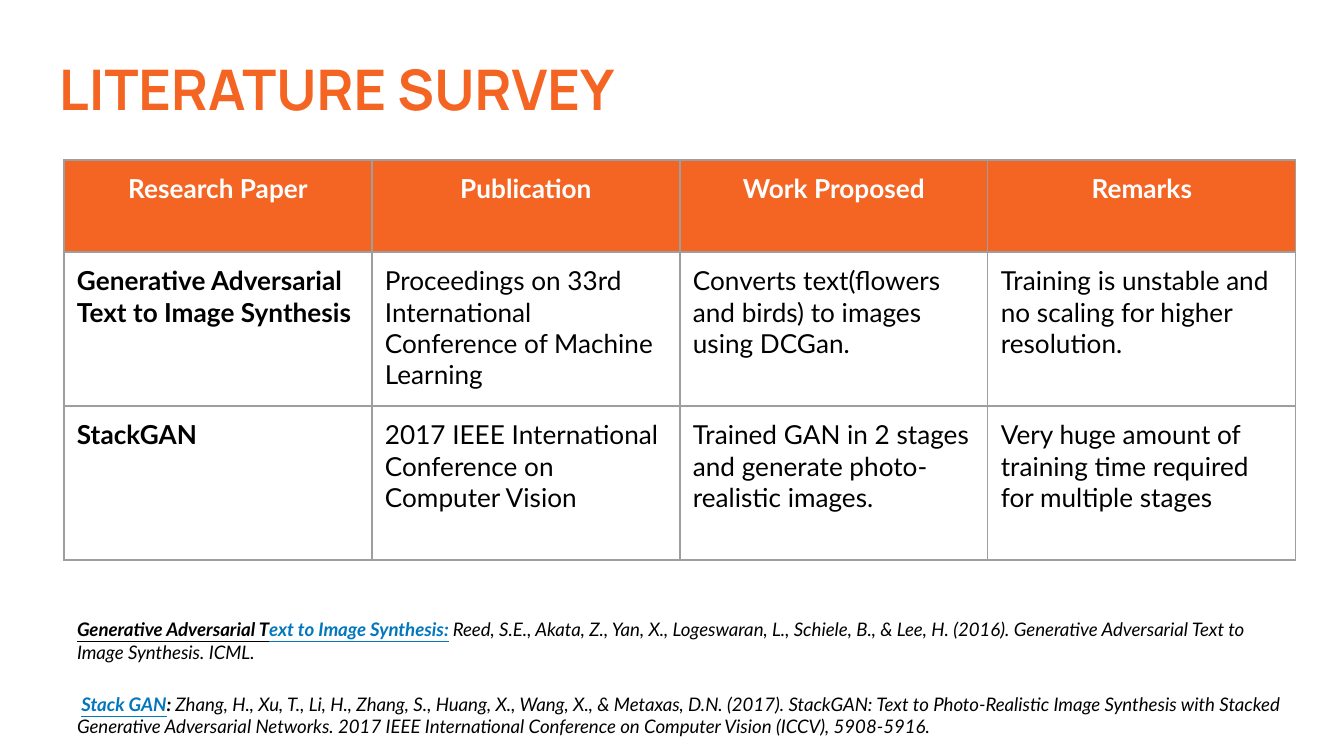
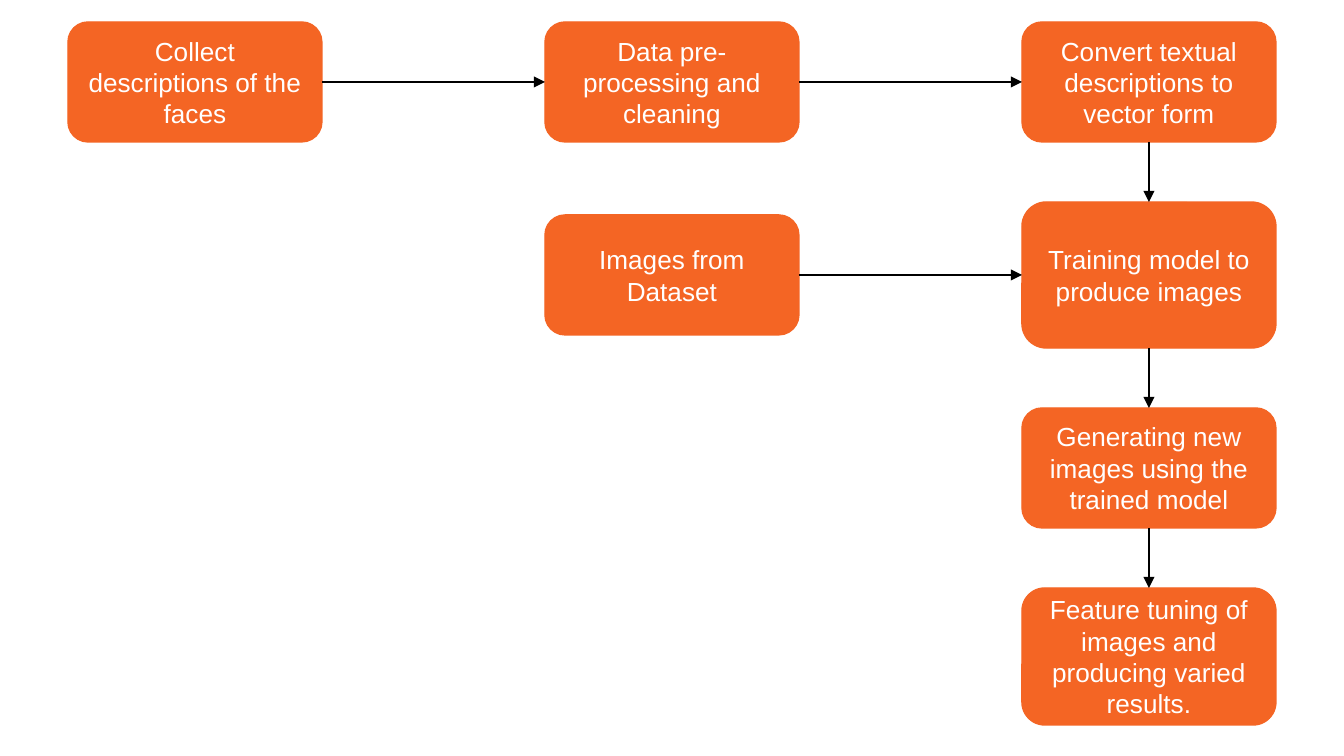
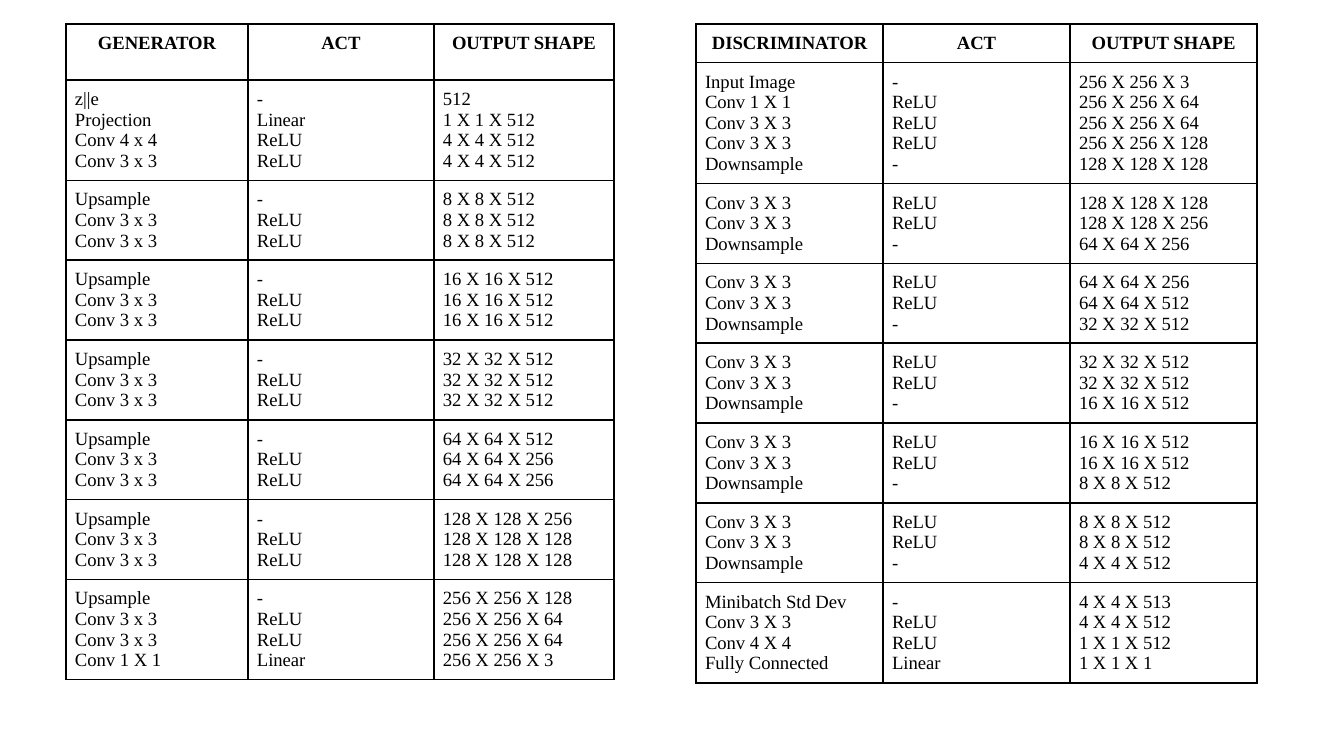
from lxml.etree import SubElement
from pptx import Presentation
from pptx.dml.color import RGBColor
from pptx.enum.shapes import MSO_CONNECTOR as CONNECTOR, MSO_SHAPE as SHAPE
from pptx.enum.text import MSO_ANCHOR as ANCHOR, PP_ALIGN as ALIGN
from pptx.oxml import parse_xml
from pptx.oxml.ns import nsdecls, qn
from pptx.util import Emu, Pt

ORANGE = RGBColor(0xF4, 0x65, 0x24)
BLUE = RGBColor(0x02, 0x77, 0xBD)
GREY = RGBColor(0x9E, 0x9E, 0x9E)
BLACK = RGBColor(0, 0, 0)
WHITE = RGBColor(255, 255, 255)

# Slide 1: literature survey
SURVEY_TITLE = "LITERATURE SURVEY"
SURVEY = [
    ("Research Paper", "Publication", "Work Proposed", "Remarks"),
    ("Generative Adversarial Text to Image Synthesis",
     "Proceedings on 33rd International Conference of Machine Learning",
     "Converts text(flowers and birds) to images using DCGan.",
     "Training is unstable and no scaling for higher resolution."),
    ("StackGAN",
     "2017 IEEE International Conference on Computer Vision",
     "Trained GAN in 2 stages and generate photo-realistic images.",
     "Very huge amount of training time required for multiple stages"),
]
CITED = dict(bold=True, underline=True)
REFERENCES = [
    [("Generative Adversarial T", CITED),
     ("ext to Image Synthesis:", dict(CITED, color=BLUE)),
     (" ", dict(bold=True)),
     ("Reed, S.E., Akata, Z., Yan, X., Logeswaran, L., Schiele, B., & Lee, H. (2016). "
      "Generative Adversarial Text to Image Synthesis. ICML.", {})],
    [(" ", {}),
     ("Stack GAN", dict(CITED, color=BLUE)),
     (": ", dict(bold=True)),
     ("Zhang, H., Xu, T., Li, H., Zhang, S., Huang, X., Wang, X., & Metaxas, D.N. (2017). "
      "StackGAN: Text to Photo-Realistic Image Synthesis with Stacked Generative Adversarial "
      "Networks. 2017 IEEE International Conference on Computer Vision (ICCV), 5908-5916.", {})],
]

# Slide 2: step -> (text, column, row, height)
STEPS = {
    "collect": ("Collect descriptions of the faces", 0, 0, 120),
    "clean": ("Data pre-processing and cleaning", 1, 0, 120),
    "convert": ("Convert textual descriptions to vector form", 2, 0, 120),
    "images": ("Images from Dataset", 1, 1, 120),
    "train": ("Training model to produce images", 2, 1, 146),
    "generate": ("Generating new images using the trained model", 2, 2, 120),
    "tune": ("Feature tuning of images and producing varied results.", 2, 3, 137),
}
FLOW = [("collect", "clean"), ("clean", "convert"), ("convert", "train"),
        ("images", "train"), ("train", "generate"), ("generate", "tune")]

# Slide 3: each block of layers is (layers, activations, output shapes)
UP = ("Upsample", "Conv 3 x 3", "Conv 3 x 3")
UP_ACT = ("-", "ReLU", "ReLU")
DOWN = ("Conv 3 X 3", "Conv 3 X 3", "Downsample")
DOWN_ACT = ("ReLU", "ReLU", "-")
GENERATOR = [
    ("GENERATOR", "ACT", "OUTPUT SHAPE"),
    (("z||e", "Projection", "Conv 4 x 4", "Conv 3 x 3"),
     ("-", "Linear", "ReLU", "ReLU"),
     ("512", "1 X 1 X 512", "4 X 4 X 512", "4 X 4 X 512")),
    (UP, UP_ACT, ("8 X 8 X 512",) * 3),
    (UP, UP_ACT, ("16 X 16 X 512",) * 3),
    (UP, UP_ACT, ("32 X 32 X 512",) * 3),
    (UP, UP_ACT, ("64 X 64 X 512", "64 X 64 X 256", "64 X 64 X 256")),
    (UP, UP_ACT, ("128 X 128 X 256", "128 X 128 X 128", "128 X 128 X 128")),
    (UP + ("Conv 1 X 1",), UP_ACT + ("Linear",),
     ("256 X 256 X 128", "256 X 256 X 64", "256 X 256 X 64", "256 X 256 X 3")),
]
DISCRIMINATOR = [
    ("DISCRIMINATOR", "ACT", "OUTPUT SHAPE"),
    (("Input Image", "Conv 1 X 1", "Conv 3 X 3", "Conv 3 X 3", "Downsample"),
     ("-", "ReLU", "ReLU", "ReLU", "-"),
     ("256 X 256 X 3", "256 X 256 X 64", "256 X 256 X 64", "256 X 256 X 128",
      "128 X 128 X 128")),
    (DOWN, DOWN_ACT, ("128 X 128 X 128", "128 X 128 X 256", "64 X 64 X 256")),
    (DOWN, DOWN_ACT, ("64 X 64 X 256", "64 X 64 X 512", "32 X 32 X 512")),
    (DOWN, DOWN_ACT, ("32 X 32 X 512", "32 X 32 X 512", "16 X 16 X 512")),
    (DOWN, DOWN_ACT, ("16 X 16 X 512", "16 X 16 X 512", "8 X 8 X 512")),
    (DOWN, DOWN_ACT, ("8 X 8 X 512", "8 X 8 X 512", "4 X 4 X 512")),
    (("Minibatch Std Dev", "Conv 3 X 3", "Conv 4 X 4", "Fully Connected"),
     ("-", "ReLU", "ReLU", "Linear"),
     ("4 X 4 X 513", "4 X 4 X 512", "1 X 1 X 512", "1 X 1 X 1")),
]


def px(length):
    return Emu(round(length * 914400 / 134.4))


def write(holder, paragraphs, *, font, size, color=BLACK, bold=False, italic=False,
          align=ALIGN.LEFT, anchor=ANCHOR.TOP, margin=13, gap=0):
    """Fill a text frame or table cell; a paragraph is a string or (text, format) runs."""
    for side in ("left", "right", "top", "bottom"):
        setattr(holder, f"margin_{side}", px(margin))
    holder.vertical_anchor = anchor
    frame = getattr(holder, "text_frame", holder)
    frame.word_wrap = True
    if isinstance(paragraphs, str):
        paragraphs = [paragraphs]
    for i, content in enumerate(paragraphs):
        paragraph = frame.add_paragraph() if i else frame.paragraphs[0]
        paragraph.alignment = align
        if i and gap:
            paragraph.space_before = Pt(gap)
        runs = [(content, {})] if isinstance(content, str) else content
        for text, changes in runs:
            run = paragraph.add_run()
            run.text = text
            style = run.font
            style.name, style.size, style.italic = font, Pt(size), italic
            style.bold = changes.get("bold", bold)
            style.underline = changes.get("underline", False)
            style.color.rgb = changes.get("color", color)


def text_box(slide, box, paragraphs, **style):
    area = slide.shapes.add_textbox(*map(px, box))
    write(area.text_frame, paragraphs, **style)


def outline(cell, color, width):
    properties = cell._tc.get_or_add_tcPr()
    for i, edge in enumerate(("lnL", "lnR", "lnT", "lnB")):
        properties.insert(i, parse_xml(
            f'<a:{edge} {nsdecls("a")} w="{Pt(width)}"><a:solidFill>'
            f'<a:srgbClr val="{color}"/></a:solidFill></a:{edge}>'))


def grid(slide, left, top, widths, heights, rows, *, border, header_fill=None,
         header_color=BLACK, bold_first=False, **style):
    table = slide.shapes.add_table(len(rows), len(widths), px(left), px(top),
                                   px(sum(widths)), px(sum(heights))).table
    table.first_row = table.horz_banding = False
    for column, width in zip(table.columns, widths):
        column.width = px(width)
    for r, (contents, height) in enumerate(zip(rows, heights)):
        table.rows[r].height = px(height)
        for c, content in enumerate(contents):
            cell, header = table.cell(r, c), r == 0
            if header and header_fill:
                cell.fill.solid()
                cell.fill.fore_color.rgb = header_fill
            else:
                cell.fill.background()
            outline(cell, *border)
            write(cell, content, bold=header or (bold_first and c == 0),
                  color=header_color if header else BLACK,
                  align=ALIGN.CENTER if header else ALIGN.LEFT, **style)


def step_box(slide, text, box):
    step = slide.shapes.add_shape(SHAPE.ROUNDED_RECTANGLE, *map(px, box))
    step.shadow.inherit = False
    step.fill.solid()
    step.fill.fore_color.rgb = step.line.color.rgb = ORANGE
    step.line.width = Pt(0.75)
    write(step.text_frame, text, font="Arial", size=14, color=WHITE,
          align=ALIGN.CENTER, anchor=ANCHOR.MIDDLE)
    return step


def arrow(slide, start, end, start_site, end_site):
    link = slide.shapes.add_connector(CONNECTOR.STRAIGHT, 0, 0, 0, 0)
    link.begin_connect(start, start_site)
    link.end_connect(end, end_site)
    link.line.color.rgb = BLACK
    link.line.width = Pt(0.75)
    SubElement(link.line._get_or_add_ln(), qn("a:tailEnd"), type="triangle")
    SubElement(link._element.spPr, qn("a:effectLst"))


def survey_slide(slide):
    text_box(slide, (46, 42, 1252, 94), SURVEY_TITLE,
             font="Manrope", size=30, color=ORANGE, bold=True)
    grid(slide, 64, 160, [308] * 4, [92, 154, 154], SURVEY, border=(GREY, 0.75),
         header_fill=ORANGE, header_color=WHITE, bold_first=True, font="Lato", size=14)
    text_box(slide, (64, 605, 1234, 125), REFERENCES,
             font="Lato", size=10, italic=True, gap=16)


def flow_slide(slide):
    left, top, pitch, width, gap = 68, 22, 477, 254, 60
    # Each row is as tall as its tallest step
    row_heights = [max(h for _, _, row, h in STEPS.values() if row == r) for r in range(4)]
    boxes = {}
    for key, (text, column, row, height) in STEPS.items():
        row_top = top + sum(row_heights[:row]) + row * gap
        y = row_top + (row_heights[row] - height) // 2
        boxes[key] = step_box(slide, text, (left + column * pitch, y, width, height))
    # Connection sites: 0 top, 1 left, 2 bottom, 3 right
    for start, end in FLOW:
        same_row = STEPS[start][2] == STEPS[end][2]
        arrow(slide, boxes[start], boxes[end], *((3, 1) if same_row else (2, 0)))


def network_slide(slide):
    style = dict(border=(BLACK, 1), font="Times New Roman", size=10, margin=9)
    grid(slide, 66, 24, [182, 186, 180], [56, 98] + [77] * 5 + [98], GENERATOR, **style)
    grid(slide, 696, 24, [187] * 3, [38, 106] + [70] * 5 + [87], DISCRIMINATOR, **style)


def main():
    deck = Presentation()
    deck.slide_width, deck.slide_height = px(1344), px(756)
    for build in (survey_slide, flow_slide, network_slide):
        build(deck.slides.add_slide(deck.slide_layouts[6]))
    deck.save("out.pptx")


if __name__ == "__main__":
    main()
